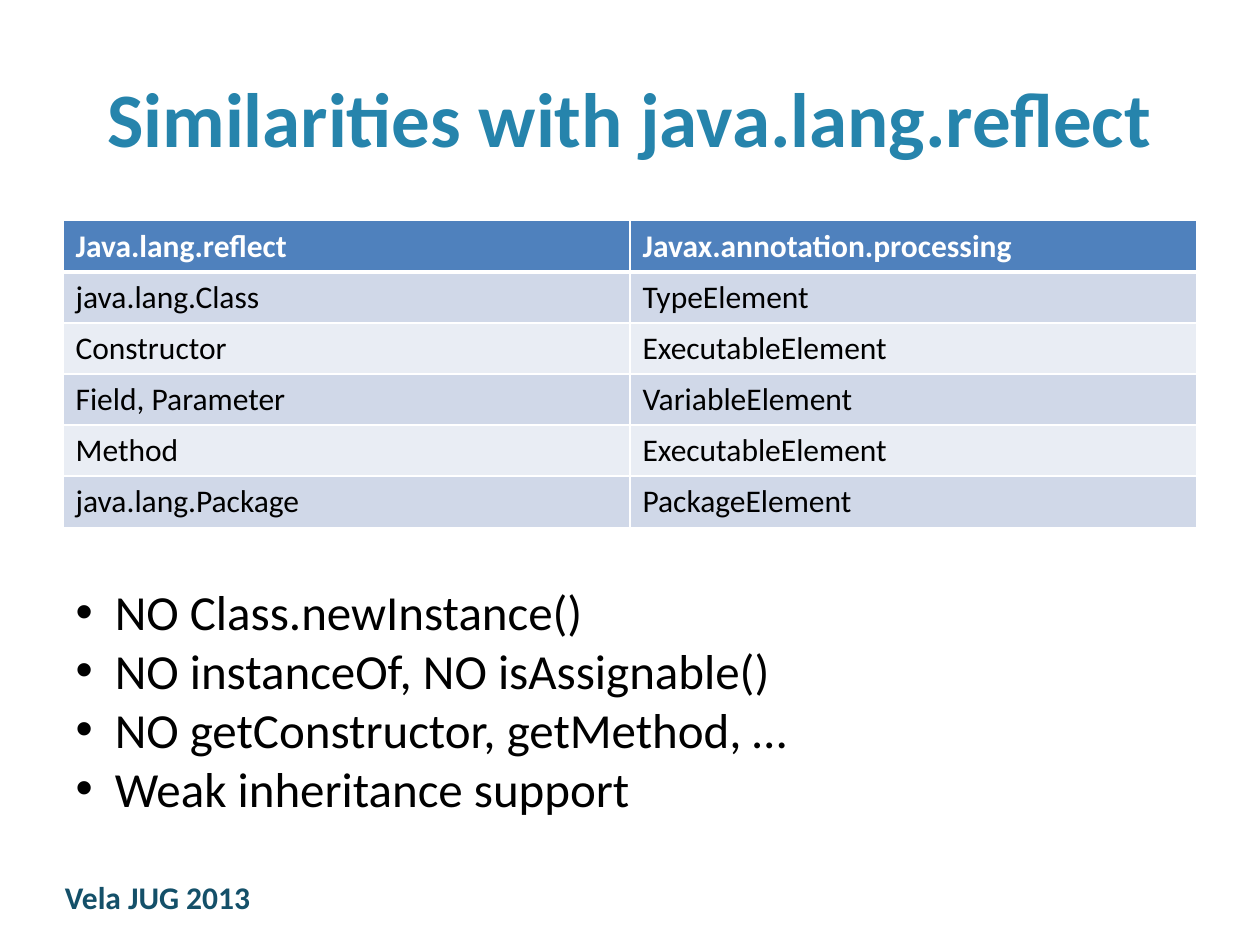
from lxml import etree
from pptx import Presentation, util as u
from pptx.dml.color import RGBColor
from pptx.enum import text
from pptx.oxml import ns


def tint(code):
    """Turn a hex string into a colour."""
    return RGBColor.from_string(code)


class Deck:
    """Hold the style and the current slide."""

    font = "Calibri"
    ink, white = "000000", "FFFFFF"
    title_ink, foot_ink = "2684AC", "145069"
    head, bands = "4F81BD", ("D0D8E8", "E9EDF4")

    def __init__(self):
        """Start a deck with one slide."""
        self.prs = Presentation()
        self.prs.slide_width, self.prs.slide_height = u.Cm(25.4), u.Cm(19.05)
        self.slide = self.prs.slides.add_slide(self.prs.slide_layouts[1])

    def place(self, shape, box):
        """Move a shape to a box given in centimetres."""
        shape.left, shape.top, shape.width, shape.height = map(u.Cm, box)

    def say(self, para, words, size, color, bold=False):
        """Add one styled run."""
        run = para.add_run()
        run.text = words
        font = run.font
        font.name, font.size, font.bold = self.font, u.Pt(size), bold
        font.color.rgb = tint(color)

    def title(self, words, box):
        """Fill the title placeholder."""
        shape = self.slide.shapes.title
        self.place(shape, box)
        frame = shape.text_frame
        frame.vertical_anchor = text.MSO_ANCHOR.MIDDLE
        para = frame.paragraphs[0]
        para.alignment = text.PP_ALIGN.CENTER
        self.say(para, words, 44, self.title_ink, True)

    def bullets(self, lines, box):
        """Fill the body placeholder with a bulleted list."""
        shape = self.slide.placeholders[1]
        self.place(shape, box)
        frame = shape.text_frame
        frame.auto_size = text.MSO_AUTO_SIZE.NONE
        for i, line in enumerate(lines):
            para = frame.add_paragraph() if i else frame.paragraphs[0]
            para.space_before = u.Pt(0)
            props = para._p.get_or_add_pPr()
            props.set("marL", str(u.Cm(0.79)))
            props.set("indent", str(u.Cm(-0.79)))
            etree.SubElement(props, ns.qn("a:buChar"), char="•")
            self.say(para, line, 28, self.ink)

    def label(self, words, box):
        """Add a bold text box."""
        shape = self.slide.shapes.add_textbox(*map(u.Cm, box))
        shape.text_frame.word_wrap = True
        para = shape.text_frame.paragraphs[0]
        self.say(para, words, 18, self.foot_ink, True)

    def edge(self, cell, top, low):
        """Draw white borders, with top and low widths in points."""
        props = cell._tc.get_or_add_tcPr()
        sides = (("L", 1), ("R", 1), ("T", top), ("B", low))
        for i, (side, wide) in enumerate(sides):
            line = etree.Element(ns.qn(f"a:ln{side}"), w=str(u.Pt(wide)))
            fill = etree.SubElement(line, ns.qn("a:solidFill"))
            etree.SubElement(fill, ns.qn("a:srgbClr"), val=self.white)
            props.insert(i, line)

    def table(self, rows, box):
        """Add a banded table with a bold header row."""
        frame = self.slide.shapes.add_table(
            len(rows), len(rows[0]), *map(u.Cm, box))
        for r, row in enumerate(rows):
            top = r == 0
            for c, words in enumerate(row):
                cell = frame.table.cell(r, c)
                cell.fill.solid()
                cell.fill.fore_color.rgb = tint(
                    self.head if top else self.bands[(r - 1) % 2])
                self.edge(cell, 3 if r == 1 else 1, 3 if top else 1)
                self.say(cell.text_frame.paragraphs[0], words, 18,
                         self.white if top else self.ink, top)


def main():
    """Build the slide."""
    deck = Deck()
    deck.label("Vela JUG 2013", (1.06, 17.58, 7, 1.06))
    deck.title("Similarities with java.lang.reflect",
               (1.27, 0.76, 22.86, 3.18))
    deck.table([
        ("Java.lang.reflect", "Javax.annotation.processing"),
        ("java.lang.Class", "TypeElement"),
        ("Constructor", "ExecutableElement"),
        ("Field, Parameter", "VariableElement"),
        ("Method", "ExecutableElement"),
        ("java.lang.Package", "PackageElement"),
    ], (1.27, 4.45, 22.86, 6.18))
    deck.bullets([
        "NO Class.newInstance()",
        "NO instanceOf, NO isAssignable()",
        "NO getConstructor, getMethod, …",
        "Weak inheritance support",
    ], (1.27, 11.6, 22.86, 5.06))
    deck.prs.save("out.pptx")


if __name__ == "__main__":
    main()
